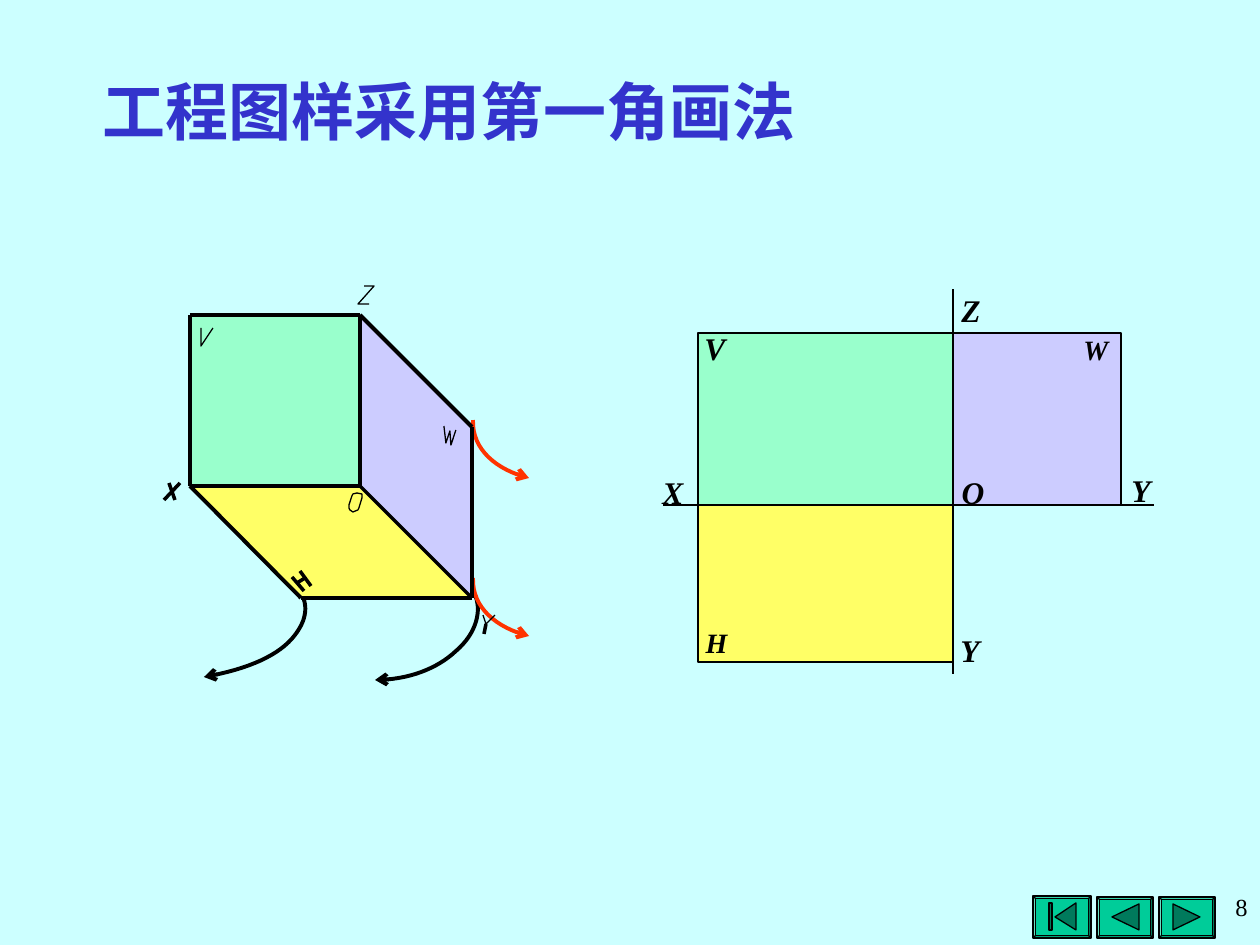
import itertools

import pptx
import pptx.dml.color
import pptx.enum.shapes
import pptx.enum.text
import pptx.oxml.xmlchemy
import pptx.util

SCALE = 914400 / 126  # EMU per px
COLORS = {
    "background": "CCFFFF", "title": "3333CC", "ink": "000000", "turn": "FF3300",
    "V": "99FFCC", "W": "CCCCFF", "H": "FFFF66",
    "button": "00CC99", "icon": "007A5C",
}
SHAPES = pptx.enum.shapes.MSO_SHAPE
ALIGN = pptx.enum.text.PP_ALIGN
ANCHOR = pptx.enum.text.MSO_ANCHOR
THICK, THIN, HAIR = 2.25, 1, 0

# Corners of the folded planes
TOP_LEFT, TOP, X_END, ORIGIN = (190, 315), (360, 315), (190, 486), (360, 486)
H_FRONT, Y_END, W_FRONT = (301, 598), (472, 598), (472, 427)

# Single-stroke letters: V, O, W, Z, X, Y, H
LETTER_STROKES = [
    [(201, 328), (201, 346), (213, 328)],
    [(353, 512), (358, 510), (359, 508), (362, 498), (362, 494), (357, 493),
     (353, 494), (352, 496), (349, 505), (349, 508), (350, 510), (353, 512)],
    [(444, 426), (446, 443), (450, 431), (451, 445), (456, 430)],
    [(364, 286), (374, 286), (358, 304), (369, 304)],
    [(169, 483), (175, 500)], [(180, 483), (164, 500)],
    [(483, 615), (486, 624), (495, 615)], [(486, 624), (484, 634)],
    [(300, 571), (311, 586)], [(297, 583), (305, 578)], [(292, 577), (304, 591)],
]

# Text, left, top, width, height, size
VIEW_LABELS = [
    ("W", 1071, 326, 49, 47, 16), ("V", 692, 323, 45, 50, 18),
    ("H", 693, 619, 47, 47, 16), ("Z", 949, 285, 44, 50, 18),
    ("X", 650, 467, 45, 50, 18), ("Y", 948, 625, 44, 50, 18),
    ("Y", 1119, 465, 44, 50, 18), ("O", 949, 467, 48, 50, 18),
]


def px(*lengths):
    return [pptx.util.Emu(round(length * SCALE)) for length in lengths]


def rgb(name):
    return pptx.dml.color.RGBColor.from_string(COLORS[name])


def style_line(line, color, width):
    line.color.rgb = rgb(color)
    line.width = pptx.util.Pt(width)


def style_shape(shape, fill=None, line=None, width=THIN):
    shape.shadow.inherit = False
    if fill:
        shape.fill.solid()
        shape.fill.fore_color.rgb = rgb(fill)
    else:
        shape.fill.background()
    if line:
        style_line(shape.line, line, width)
    else:
        shape.line.fill.background()


def add_preset(page, kind, box, **style):
    shape = page.shapes.add_shape(kind, *px(*box))
    style_shape(shape, **style)
    return shape


def add_outline(page, points, close=False, **style):
    start, *rest = [px(*point) for point in points]
    builder = page.shapes.build_freeform(*start, scale=1.0)
    builder.add_line_segments(rest, close=close)
    shape = builder.convert_to_shape()
    style_shape(shape, **style)
    return shape


def add_line(page, start, end, width):
    line = page.shapes.add_connector(
        pptx.enum.shapes.MSO_CONNECTOR.STRAIGHT, *px(*start, *end))
    style_line(line.line, "ink", width)
    line._element.spPr.append(pptx.oxml.xmlchemy.OxmlElement("a:effectLst"))


def add_stroke(page, points):
    if len(points) == 2:
        add_line(page, *points, HAIR)
    else:
        add_outline(page, points, line="ink", width=HAIR)


def bezier(points, steps=16):
    """Points along a cubic curve given by its four control points."""
    curve = []
    for step in range(steps + 1):
        t = step / steps
        weights = ((1 - t) ** 3, 3 * t * (1 - t) ** 2, 3 * t * t * (1 - t), t ** 3)
        curve.append(tuple(sum(w * p[axis] for w, p in zip(weights, points))
                           for axis in (0, 1)))
    return curve


def add_turn_arrow(page, controls, color):
    """Curved arrow through joined cubic curves, with its tip at the first point."""
    points = [controls[0]]
    for first in range(0, len(controls) - 1, 3):
        points += bezier(controls[first:first + 4])[1:]
    arrow = add_outline(page, points, line=color, width=THICK)
    head = pptx.oxml.xmlchemy.OxmlElement("a:headEnd")
    head.set("type", "arrow")
    arrow.line._get_or_add_ln().append(head)


def add_text(page, text, box, wrap=True, anchor=ANCHOR.TOP, align=ALIGN.LEFT,
             color="ink", **font):
    frame = page.shapes.add_textbox(*px(*box)).text_frame
    frame.word_wrap = wrap
    frame.vertical_anchor = anchor
    para = frame.paragraphs[0]
    para.alignment = align
    span = para.add_run()
    span.text = text
    span.font.color.rgb = rgb(color)
    font["size"] = pptx.util.Pt(font["size"])
    for name, value in {"name": "Times New Roman", **font}.items():
        setattr(span.font, name, value)


def add_button(page, box, icon):
    bevel = add_preset(page, SHAPES.BEVEL, box, fill="button", line="ink", width=0.75)
    bevel.adjustments[0] = 0.06
    add_outline(page, icon, close=True, fill="icon", line="ink", width=0.75)


def draw_buttons(page):
    add_button(page, (1159, 897, 56, 41), [(1173, 904), (1200, 917), (1173, 930)])
    add_button(page, (1097, 897, 56, 41), [(1112, 917), (1139, 904), (1139, 930)])
    add_button(page, (1033, 896, 58, 42), [(1055, 917), (1076, 903), (1076, 930)])
    add_preset(page, SHAPES.RECTANGLE, (1049, 903, 3, 27),
               fill="icon", line="ink", width=0.75)


def draw_unfolded_views(page):
    for plane, box in (("W", (953, 333, 168, 172)), ("V", (698, 333, 255, 172)),
                       ("H", (698, 505, 255, 157))):
        add_preset(page, SHAPES.RECTANGLE, box, fill=plane, line="ink")
    for start, end in (((953, 505), (953, 289)), ((953, 510), (953, 674)),
                       ((1154, 505), (663, 505))):
        add_line(page, start, end, THIN)
    for text, *box, size in VIEW_LABELS:
        add_text(page, text, box, wrap=False, anchor=ANCHOR.MIDDLE,
                 align=ALIGN.CENTER, size=size, bold=True, italic=True)


def draw_turn_arrows(page):
    add_turn_arrow(page, [(375, 680), (408, 680), (437, 669), (456, 651),
                          (476, 634), (483, 610), (474, 593)], "ink")
    add_turn_arrow(page, [(204, 677), (249, 669), (280, 655), (295, 635),
                          (305, 622), (308, 609), (303, 597)], "ink")
    for drop in (0, 158):
        curve = [(529, 478), (497, 470), (472, 450), (473, 420)]
        add_turn_arrow(page, [(x, y + drop) for x, y in curve], "turn")


def draw_folded_planes(page):
    add_outline(page, [X_END, ORIGIN, Y_END, H_FRONT], close=True, fill="H")
    add_outline(page, [TOP, W_FRONT, Y_END, ORIGIN], close=True, fill="W")
    add_preset(page, SHAPES.RECTANGLE, (190, 315, 170, 171), fill="V")
    for corner in (X_END, TOP, Y_END):
        add_line(page, ORIGIN, corner, HAIR)
    rim = [TOP_LEFT, TOP, W_FRONT, Y_END, H_FRONT, X_END, TOP_LEFT]
    for start, end in itertools.pairwise(rim):
        add_line(page, start, end, THICK)
    for stroke in LETTER_STROKES:
        add_stroke(page, stroke)


def main():
    deck = pptx.Presentation()
    deck.slide_width, deck.slide_height = px(1260, 945)
    page = deck.slides.add_slide(deck.slide_layouts[6])
    page.background.fill.solid()
    page.background.fill.fore_color.rgb = rgb("background")
    draw_buttons(page)
    draw_unfolded_views(page)
    draw_turn_arrows(page)
    add_text(page, "工程图样采用第一角画法", (90, 66, 735, 88),
             color="title", size=36, bold=True)
    draw_folded_planes(page)
    add_text(page, "8", (942, 886, 318, 59), align=ALIGN.RIGHT, size=14)
    deck.save("out.pptx")


if __name__ == "__main__":
    main()
